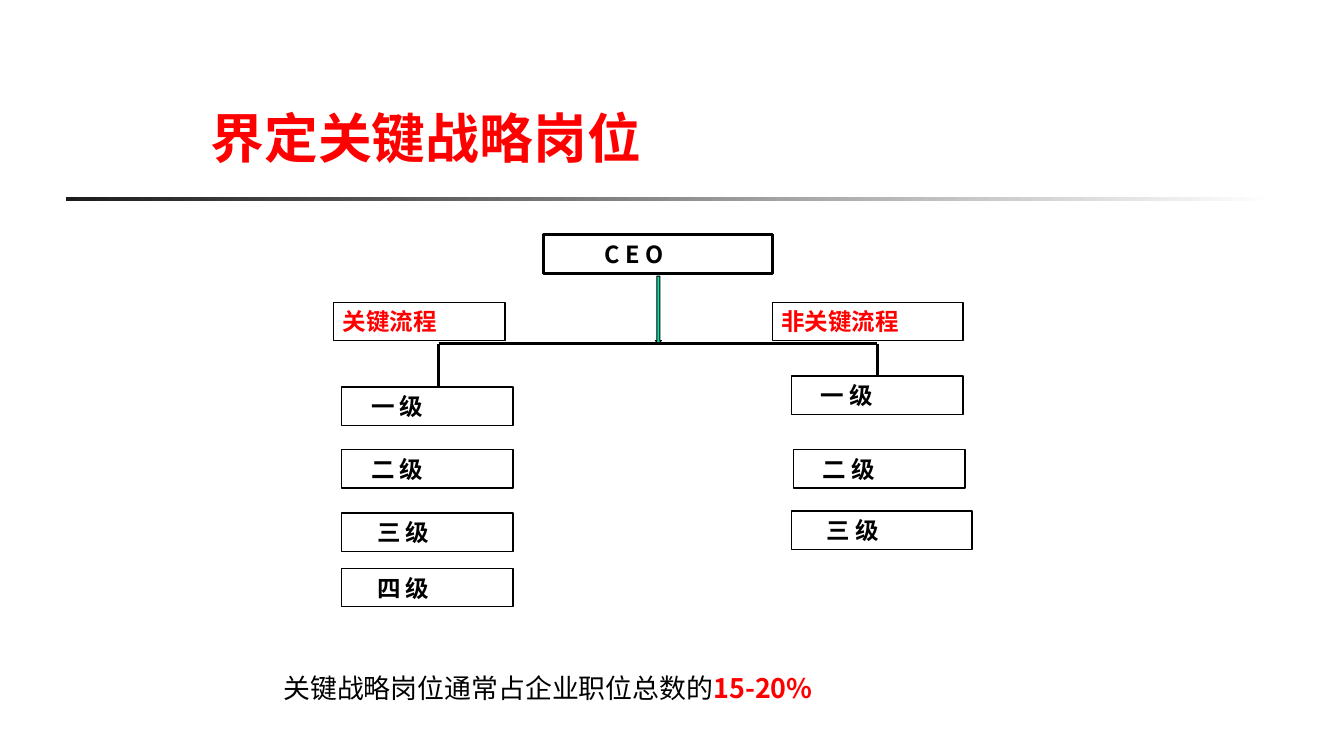
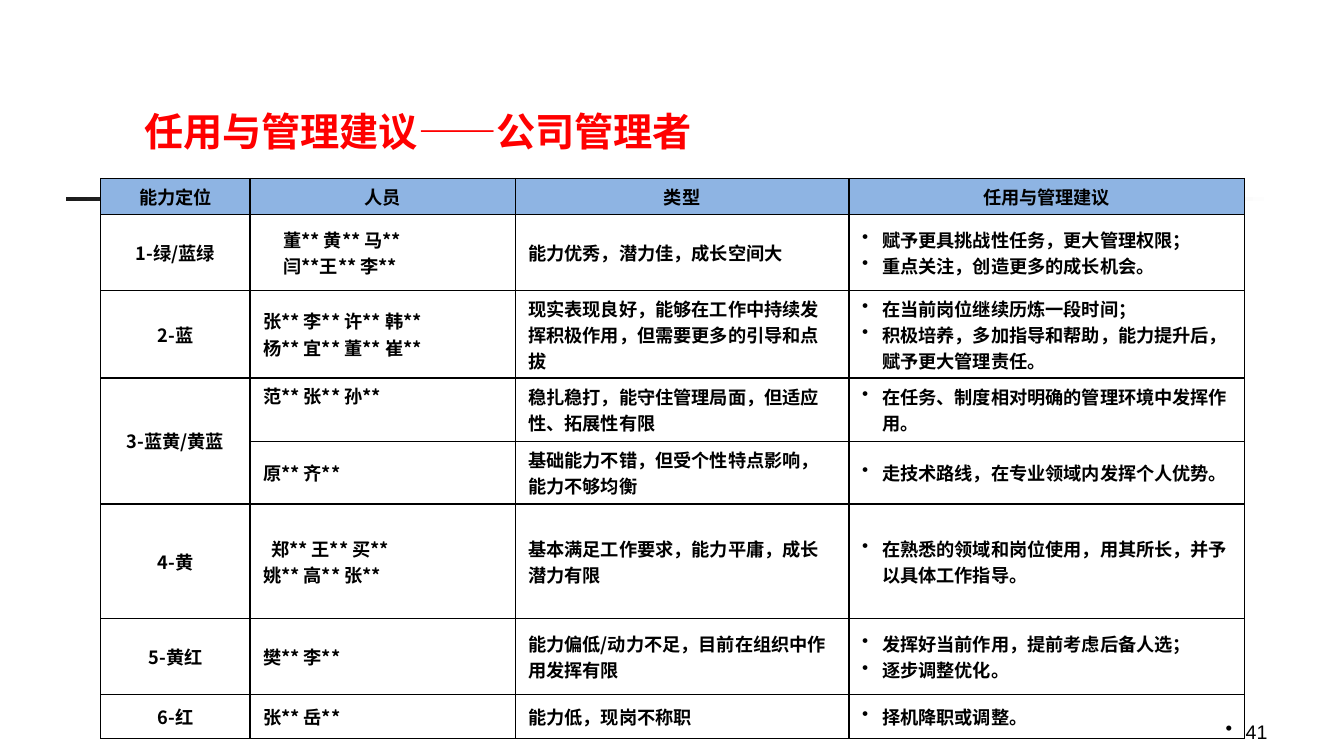
from lxml import etree
from pptx import Presentation
from pptx.dml.color import RGBColor
from pptx.enum.shapes import MSO_CONNECTOR as CONN, MSO_SHAPE as SHAPE
from pptx.enum.text import MSO_ANCHOR as ANCHOR, PP_ALIGN as ALIGN
from pptx.oxml.ns import qn
from pptx.util import Inches, Pt

COLORS = {"black": "000000", "red": "FF0000", "bar": "1C1C1C", "white": "FFFFFF",
          "arrow": "00E4A8", "header": "8EB4E3"}
RGB = {name: RGBColor.from_string(value) for name, value in COLORS.items()}
CJK = "Noto Sans CJK SC"


def style(font, size, color="black", bold=False, name=CJK):
    font.size, font.bold, font.name = Pt(size), bold, name
    font.color.rgb = RGB[color]
    ea = etree.SubElement(font._element, qn("a:ea"))
    ea.set("typeface", CJK)


def add_bullet(p):
    pPr = p._p.get_or_add_pPr()
    pPr.set("marL", str(Inches(0.2)))
    pPr.set("indent", str(-Inches(0.2)))
    bullet = etree.Element(qn("a:buChar"))
    bullet.set("char", "•")
    defaults = pPr.find(qn("a:defRPr"))
    defaults.addprevious(bullet)


prs = Presentation()
prs.slide_width, prs.slide_height = Inches(13.33), Inches(7.5)

titles = [
    ("界定关键战略岗位", (1.99, 1.07, 4.68, 0.66), 38.4, Pt(39), ANCHOR.BOTTOM),
    ("任用与管理建议——公司管理者", (1.33, 0.91, 7.75, 0.68), 28, 1.2, ANCHOR.MIDDLE),
]
slides = []
for text, box, size, spacing, anchor in titles:
    s = prs.slides.add_slide(prs.slide_layouts[6])
    bar = s.shapes.add_shape(SHAPE.RECTANGLE, Inches(0.65), Inches(1.95), Inches(11.99), Inches(0.04))
    bar.shadow.inherit = False
    bar.line.fill.background()
    bar.fill.gradient()
    bar.fill.gradient_angle = 0
    for stop, color in zip(bar.fill.gradient_stops, ("bar", "white")):
        stop.color.rgb = RGB[color]
    tf = s.shapes.add_textbox(*map(Inches, box)).text_frame
    tf.word_wrap, tf.vertical_anchor = True, anchor
    p = tf.paragraphs[0]
    p.text, p.line_spacing = text, spacing
    style(p.font, size, "red", True)
    slides.append(s)
chart_slide, table_slide = slides

boxes = [
    ("C E O", 5.39, 2.33, 2.27, 0.61, 2.25, "black"),
    ("关键流程", 3.31, 3.0, 1.7, 0.09, 1, "red"),
    ("非关键流程", 7.66, 3.0, 1.89, 0.09, 1, "red"),
    ("一 级", 3.39, 3.84, 1.7, 0.29, 1, "black"),
    ("二 级", 3.39, 4.46, 1.7, 0.29, 1, "black"),
    ("三 级", 3.39, 5.09, 1.7, 0.35, 1, "black"),
    ("四 级", 3.39, 5.64, 1.7, 0.35, 1, "black"),
    ("一 级", 7.85, 3.73, 1.7, 0.29, 1, "black"),
    ("二 级", 7.87, 4.46, 1.7, 0.29, 1, "black"),
    ("三 级", 7.85, 5.07, 1.79, 0.35, 1, "black"),
]
for text, left, top, width, indent, weight, color in boxes:
    sp = chart_slide.shapes.add_shape(SHAPE.RECTANGLE, *map(Inches, (left, top, width, 0.38)))
    sp.shadow.inherit = False
    sp.fill.background()
    sp.line.color.rgb, sp.line.width = RGB["black"], Pt(weight)
    tf = sp.text_frame
    tf.word_wrap, tf.vertical_anchor = True, ANCHOR.TOP
    tf.margin_left = Inches(indent)
    p = tf.paragraphs[0]
    p.text, p.alignment = text, ALIGN.LEFT
    style(p.font, 16.8, color, True)

arrow = chart_slide.shapes.add_shape(SHAPE.DOWN_ARROW, Inches(6.5), Inches(2.74), Inches(0.06), Inches(0.67))
arrow.shadow.inherit = False
arrow.adjustments[1] = 0.52
arrow.fill.solid()
arrow.fill.fore_color.rgb = RGB["arrow"]
arrow.line.color.rgb, arrow.line.width = RGB["black"], Pt(0.75)

for ends in [(4.35, 3.41, 8.7, 3.41), (4.35, 3.41, 4.35, 3.84), (8.7, 3.41, 8.7, 3.73)]:
    line = chart_slide.shapes.add_connector(CONN.STRAIGHT, *map(Inches, ends))
    line.line.color.rgb, line.line.width = RGB["black"], Pt(2.25)
    etree.SubElement(line._element.spPr, qn("a:effectLst"))

tf = chart_slide.shapes.add_textbox(Inches(2.51), Inches(6.4), Inches(9.13), Inches(0.63)).text_frame
tf.word_wrap, tf.vertical_anchor = True, ANCHOR.BOTTOM
tf.margin_left = Inches(0.3)
p = tf.paragraphs[0]
p.line_spacing = Pt(35.1)
for text, color, bold in [("关键战略岗位通常占企业职位总数的", "black", False), ("15-20%", "red", True)]:
    r = p.add_run()
    r.text = text
    style(r.font, 19.2, color, bold)

tf = table_slide.shapes.add_textbox(Inches(9.89), Inches(6.92), Inches(2.78), Inches(0.5)).text_frame
tf.word_wrap, tf.vertical_anchor = True, ANCHOR.BOTTOM
p = tf.paragraphs[0]
p.text, p.alignment = "41", ALIGN.RIGHT
style(p.font, 14, name="Arial")
add_bullet(p)

rows = [
    ("能力定位", "人员", "类型", "任用与管理建议"),
    ("1-绿/蓝绿", "董** 黄** 马**\n闫**王** 李**", "能力优秀，潜力佳，成长空间大",
     "赋予更具挑战性任务，更大管理权限；\n重点关注，创造更多的成长机会。"),
    ("2-蓝", "张** 李** 许** 韩**\n杨** 宜** 董** 崔**",
     "现实表现良好，能够在工作中持续发挥积极作用，但需要更多的引导和点拔",
     "在当前岗位继续历炼一段时间；\n积极培养，多加指导和帮助，能力提升后，赋予更大管理责任。"),
    ("3-蓝黄/黄蓝", "范** 张** 孙**", "稳扎稳打，能守住管理局面，但适应性、拓展性有限",
     "在任务、制度相对明确的管理环境中发挥作用。"),
    ("", "原** 齐**", "基础能力不错，但受个性特点影响，能力不够均衡",
     "走技术路线，在专业领域内发挥个人优势。"),
    ("4-黄", "郑** 王** 买**\n姚** 高** 张**", "基本满足工作要求，能力平庸，成长潜力有限",
     "在熟悉的领域和岗位使用，用其所长，并予以具体工作指导。"),
    ("5-黄红", "樊** 李**", "能力偏低/动力不足，目前在组织中作用发挥有限",
     "发挥好当前作用，提前考虑后备人选；\n逐步调整优化。"),
    ("6-红", "张** 岳**", "能力低，现岗不称职", "择机降职或调整。"),
]
widths = [1.48, 2.63, 3.31, 3.92]
heights = [0.36, 0.75, 0.87, 0.63, 0.62, 1.14, 0.75, 0.44]
table = table_slide.shapes.add_table(len(rows), len(widths), Inches(1), Inches(1.77),
                                     Inches(sum(widths)), Inches(sum(heights))).table
table.first_row = table.horz_banding = False
for column, width in zip(table.columns, widths):
    column.width = Inches(width)
for row, height in zip(table.rows, heights):
    row.height = Inches(height)

for i, texts in enumerate(rows):
    for j, text in enumerate(texts):
        cell = table.cell(i, j)
        cell.vertical_anchor = ANCHOR.MIDDLE
        cell.margin_left = cell.margin_right = Inches(0.13)
        cell.text = text
        for p in cell.text_frame.paragraphs:
            p.alignment = ALIGN.CENTER if i == 0 or j == 0 else ALIGN.LEFT
            style(p.font, 13, bold=True)
            if i and j == 3:
                add_bullet(p)
        tcPr = cell._tc.get_or_add_tcPr()
        for side in ("lnL", "lnR", "lnT", "lnB"):
            border = etree.SubElement(tcPr, qn(f"a:{side}"), w=str(Pt(1)))
            fill = etree.SubElement(border, qn("a:solidFill"))
            etree.SubElement(fill, qn("a:srgbClr"), val=COLORS["black"])
        if i == 0:
            cell.fill.solid()
            cell.fill.fore_color.rgb = RGB["header"]
        else:
            cell.fill.background()

table.cell(3, 0).merge(table.cell(4, 0))
table.cell(3, 1).vertical_anchor = ANCHOR.TOP
table.cell(1, 1).margin_left = Inches(0.33)
first_line = table.cell(5, 1).text_frame.paragraphs[0]
first_line._p.get_or_add_pPr().set("indent", str(Inches(0.08)))

prs.save("out.pptx")
